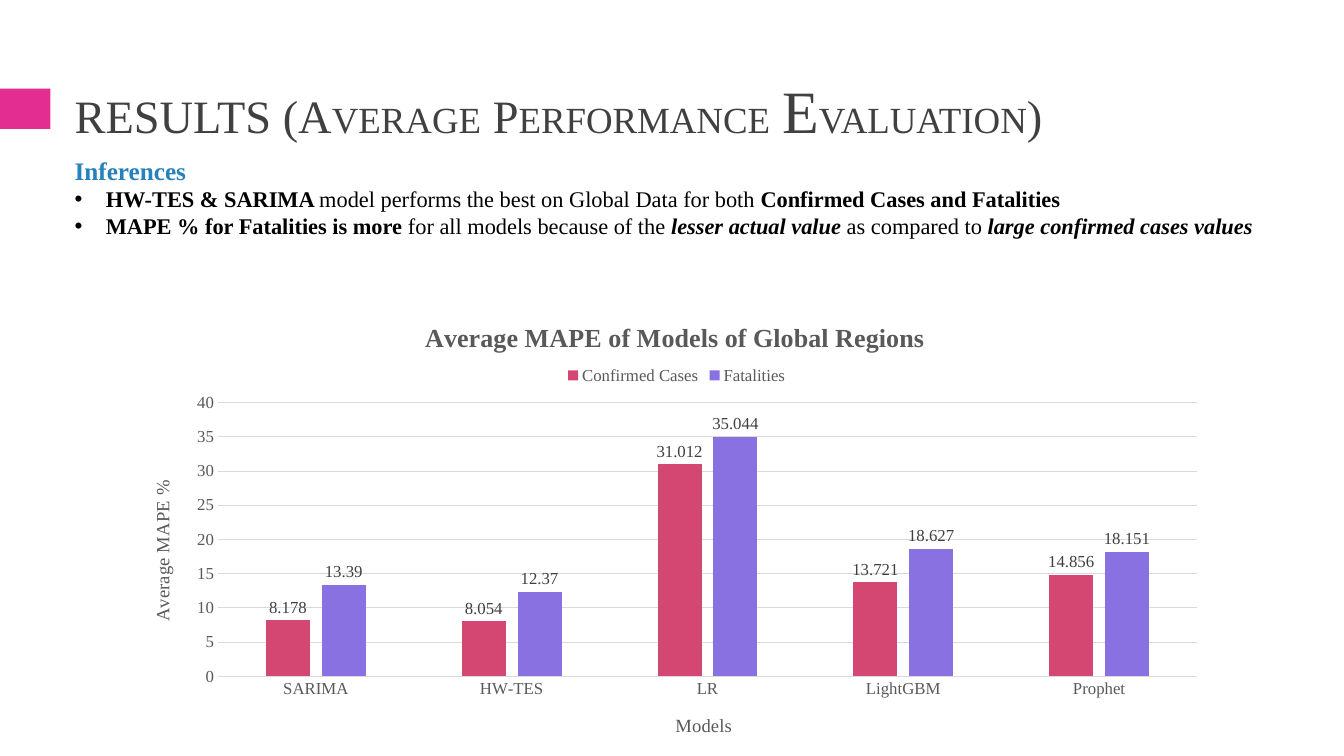
"""Build the slide on average model performance with its column chart."""
from lxml.etree import SubElement
from pptx import Presentation
from pptx.chart.data import CategoryChartData
from pptx.dml.color import RGBColor
from pptx.enum.chart import XL_CHART_TYPE, XL_LABEL_POSITION, XL_LEGEND_POSITION, XL_TICK_MARK
from pptx.enum.shapes import MSO_SHAPE
from pptx.enum.text import MSO_ANCHOR, MSO_AUTO_SIZE, PP_ALIGN
from pptx.oxml import parse_xml
from pptx.oxml.ns import nsdecls, qn
from pptx.util import Inches, Pt

FONT = "Times New Roman"


def style(font, size, color, bold=False, italic=False):
    font.name, font.size, font.bold, font.italic = FONT, Pt(size), bold, italic
    font.color.rgb = RGBColor.from_string(color)


def place(element, **values):
    for old in element.findall(qn("c:layout")):
        element.remove(old)
    layout = parse_xml(f"<c:layout {nsdecls('c')}><c:manualLayout/></c:layout>")
    for name, value in values.items():
        SubElement(layout[0], qn(f"c:{name}")).set("val", str(value))
    overlay = element.find(qn("c:overlay"))
    if overlay is None:
        element.insert(0, layout)
    else:
        overlay.addprevious(layout)


deck = Presentation()
deck.slide_width, deck.slide_height = Inches(13.33), Inches(7.5)
page = deck.slides.add_slide(deck.slide_layouts[1])

accent = page.shapes.add_shape(MSO_SHAPE.RECTANGLE, 0, Inches(0.88), Inches(0.5), Inches(0.4))
accent.shadow.inherit = False
accent.fill.solid()
accent.fill.fore_color.rgb = RGBColor.from_string("E32D91")
accent.line.fill.background()

title, body = page.shapes.title, page.placeholders[1]
title.left, title.top, title.width, title.height = Inches(0.64), Inches(0.68), Inches(12.06), Inches(0.81)
body.left, body.top, body.width, body.height = Inches(0.64), Inches(1.49), Inches(12.46), Inches(1.21)
for box, anchor in ((title, MSO_ANCHOR.BOTTOM), (body, MSO_ANCHOR.TOP)):
    box.text_frame.word_wrap = True
    box.text_frame.auto_size = MSO_AUTO_SIZE.NONE
    box.text_frame.vertical_anchor = anchor

para = title.text_frame.paragraphs[0]
para.alignment = PP_ALIGN.LEFT
for text, size in (("RESULTS (A", 33.1), ("VERAGE", 26.3), (" P", 33.1), ("ERFORMANCE", 26.3),
                   (" ", 35.1), ("E", 42.9), ("VALUATION", 26.3), (")", 33.1)):
    span = para.add_run()
    span.text = text
    style(span.font, size, "404040")

inferences = [
    [("Inferences", True, False)],
    [("HW-TES & SARIMA ", True, False),
     ("model performs the best on Global Data for both ", False, False),
     ("Confirmed Cases and Fatalities", True, False)],
    [("MAPE % for Fatalities is more", True, False),
     (" for all models because of the ", False, False),
     ("lesser actual value", True, True),
     (" as compared to ", False, False),
     ("large confirmed cases values", True, True)],
]
for index, spans in enumerate(inferences):
    para = body.text_frame.add_paragraph() if index else body.text_frame.paragraphs[0]
    para.space_before = para.space_after = Pt(0)
    indent = Inches(0.31) if index else 0
    properties = para._p.get_or_add_pPr()
    properties.set("marL", str(indent))
    properties.set("indent", str(-indent))
    if index:
        SubElement(properties, qn("a:buFont")).set("typeface", "Arial")
        SubElement(properties, qn("a:buChar")).set("char", "•")
    else:
        SubElement(properties, qn("a:buNone"))
    for text, bold, italic in spans:
        span = para.add_run()
        span.text = text
        style(span.font, 16 if index else 18, "000000" if index else "2582BB", bold, italic)

data = CategoryChartData()
data.categories = ["SARIMA", "HW-TES", "LR", "LightGBM", "Prophet"]
data.add_series("Confirmed Cases", (8.178, 8.054, 31.012, 13.721, 14.856))
data.add_series("Fatalities", (13.39, 12.37, 35.044, 18.627, 18.151))
chart = page.shapes.add_chart(XL_CHART_TYPE.COLUMN_CLUSTERED, Inches(1.24), Inches(2.96),
                              Inches(10.85), Inches(4.54), data).chart
style(chart.font, 10, "000000")

plot = chart.plots[0]
plot.gap_width, plot.overlap, plot.vary_by_categories = 219, -27, False
for series, color in zip(plot.series, ("D54773", "8971E1")):
    series.format.fill.solid()
    series.format.fill.fore_color.rgb = RGBColor.from_string(color)
    series.invert_if_negative = False
    labels = series.data_labels
    labels.show_value = True
    labels.position = XL_LABEL_POSITION.OUTSIDE_END
    style(labels.font, 12, "404040")

models, mape = chart.category_axis, chart.value_axis
for axis in (models, mape):
    axis.major_tick_mark = axis.minor_tick_mark = XL_TICK_MARK.NONE
    style(axis.tick_labels.font, 12, "595959")
mape.minimum_scale, mape.maximum_scale, mape.major_unit = 0, 40, 5
mape.has_major_gridlines = True
mape.format.line.fill.background()
for line in (models.format.line, mape.major_gridlines.format.line):
    line.width = Pt(0.75)
    line.color.rgb = RGBColor.from_string("D9D9D9")

chart.has_title = True
for heading, text, size, bold, x, y in (
        (chart.chart_title, "Average MAPE of Models of Global Regions", 18.6, True, 0.27, 0.04),
        (models.axis_title, "Models", 13.3, False, 0.5, 0.9),
        (mape.axis_title, "Average MAPE %", 13.3, False, 0.02, 0.39)):
    span = heading.text_frame.paragraphs[0].add_run()
    span.text = text
    style(span.font, size, "595959", bold)
    place(heading._element, xMode="edge", yMode="edge", x=x, y=y)
mape.axis_title.text_frame._txBody.bodyPr.set("rot", "-5400000")
mape.axis_title.text_frame._txBody.bodyPr.set("vert", "horz")

chart.has_legend = True
chart.legend.position = XL_LEGEND_POSITION.TOP
chart.legend.include_in_layout = False
style(chart.legend.font, 12, "595959")
place(chart.legend._element, xMode="edge", yMode="edge", x=0.4, y=0.14)
place(chart._chartSpace.chart.plotArea, layoutTarget="inner", xMode="edge", yMode="edge",
      x=0.085, y=0.228, w=0.895, h=0.598)

deck.save("out.pptx")
